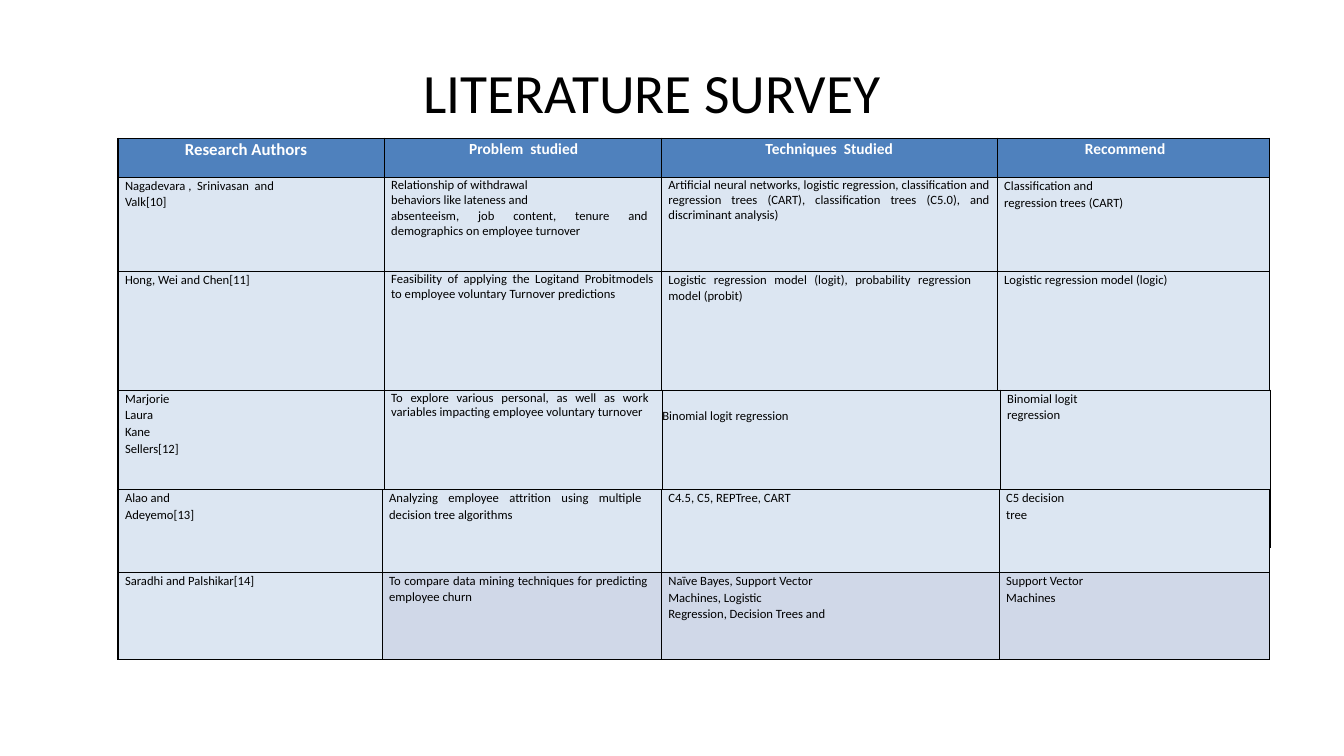
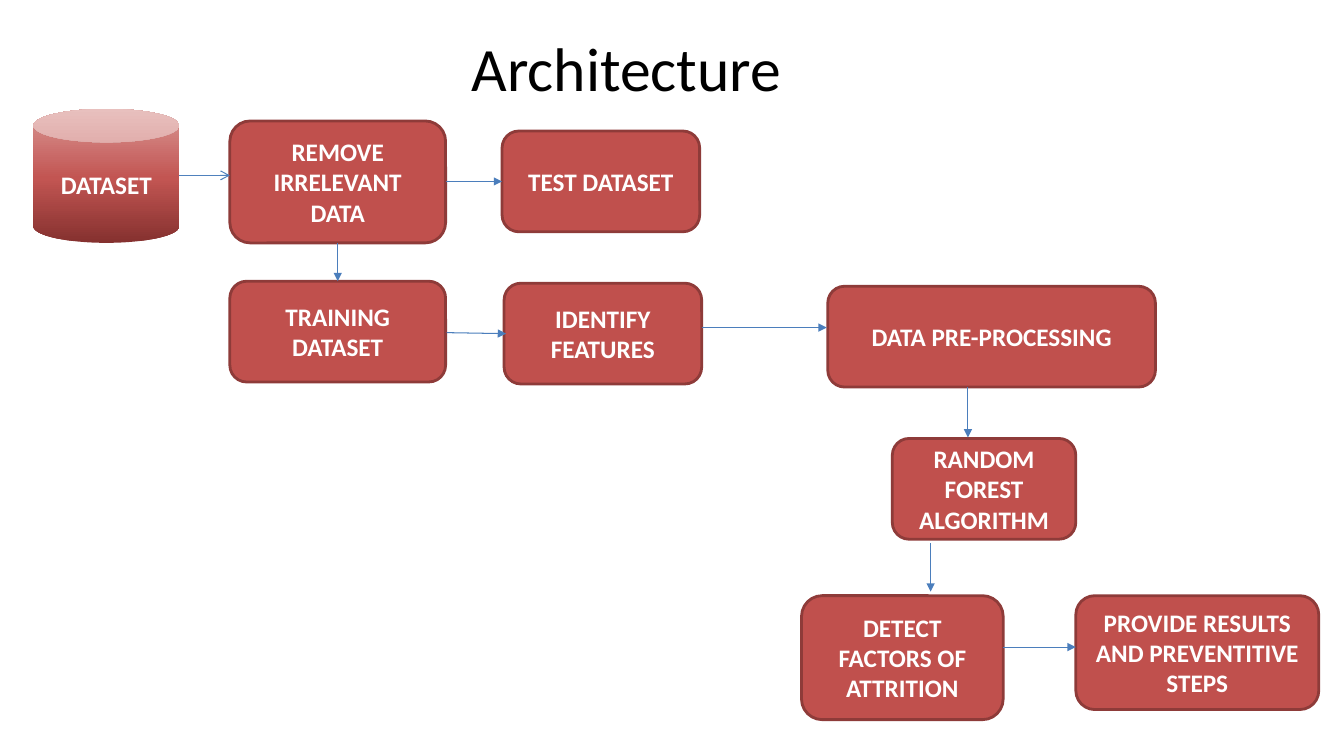
import copy

import pptx
import pptx.dml.color
import pptx.enum.shapes
import pptx.enum.text
import pptx.oxml
import pptx.oxml.ns
import pptx.util
from pptx.util import Inches

# Shared look
FONT = "Calibri"
BLACK, WHITE = "000000", "FFFFFF"
HEADER_FILL, ROW_FILL, LAST_ROW_FILL = "4F81BD", "DCE6F2", "D0D8E8"
BOX_FILL, BOX_LINE = "C0504D", "8E3B39"
CAN_STOPS = [(0, "85312F"), (0.48, "C25552"), (1, "D99694")]
ARROW = "4B7EBC"
TITLE_ONLY = 5

ALIGN = pptx.enum.text.PP_ALIGN
MIDDLE = pptx.enum.text.MSO_ANCHOR.MIDDLE
SHAPE = pptx.enum.shapes.MSO_SHAPE

# Survey tables: a cell is (lines, right margin, options)
HEADINGS = [
    (["Research Authors"], 0.17, {"size": 12}),
    (["Problem  studied"], 0.05, {}),
    (["Techniques  Studied"], 0.07, {}),
    (["Recommend"], 0.23, {}),
]
WITHDRAWAL_STUDY = [
    (["Nagadevara ,  Srinivasan  and Valk[10]"], 0.95, {}),
    (["Relationship of withdrawal", "behaviors like lateness and",
      "absenteeism, job content, tenure and demographics on employee turnover"],
     0.14, {"align": ALIGN.JUSTIFY, "spacing": 1}),
    (["Artificial neural networks, logistic regression, classification and "
      "regression trees (CART), classification trees (C5.0), and "
      "discriminant analysis)"],
     0.08, {"align": ALIGN.JUSTIFY, "spacing": 0.98}),
    (["Classification and", "regression trees (CART)"], 0, {}),
]
LOGIT_STUDY = [
    (["Hong, Wei and Chen[11]"], 0, {}),
    (["Feasibility of applying the Logitand Probitmodels to employee "
      "voluntary Turnover predictions"],
     0.08, {"align": ALIGN.JUSTIFY, "spacing": 0.98}),
    (["Logistic regression model (logit), probability regression model (probit)"],
     0.26, {"align": ALIGN.JUSTIFY}),
    (["Logistic regression model (logic)"], 0, {}),
]
VARIABLES_STUDY = [
    (["Marjorie", "Laura", "Kane", "Sellers[12]"], 0, {}),
    (["To explore various personal, as well as work variables impacting "
      "employee voluntary turnover"],
     0.14, {"align": ALIGN.JUSTIFY, "spacing": 0.97}),
    (["Binomial logit regression"], 0, {"left": 0, "top": 0.17}),
    (["Binomial logit", "regression"], 0, {}),
]
ATTRITION_STUDY = [
    (["Alao and", "Adeyemo[13]"], 0, {}),
    (["Analyzing employee attrition using multiple decision tree algorithms"],
     0.2, {"align": ALIGN.JUSTIFY}),
    (["C4.5, C5, REPTree, CART"], 0, {}),
    (["C5 decision", "tree"], 0, {}),
]
CHURN_STUDY = [
    (["Saradhi and Palshikar[14]"], 0, {}),
    (["To compare data mining techniques for predicting employee churn"],
     0.14, {"align": ALIGN.JUSTIFY, "fill": LAST_ROW_FILL}),
    (["Naïve Bayes, Support Vector", "Machines, Logistic",
      "Regression, Decision Trees and"], 0, {"fill": LAST_ROW_FILL}),
    (["Support Vector", "Machines"], 0, {"fill": LAST_ROW_FILL}),
]

# Top, column widths, row heights, rows
SURVEY_PARTS = [
    (1.37, (2.64, 2.75, 3.33, 2.7), (0.39, 0.93, 1.2),
     (HEADINGS, WITHDRAWAL_STUDY, LOGIT_STUDY)),
    (3.87, (2.64, 2.76, 3.35, 2.68), (1.56,), (VARIABLES_STUDY,)),
    (4.86, (2.62, 2.77, 3.35, 2.68), (0.82, 0.86),
     (ATTRITION_STUDY, CHURN_STUDY)),
]

# Architecture steps: label, left, top, width, height
STEPS = [
    ("REMOVE IRRELEVANT DATA", 2.28, 1.2, 2.14, 1.21),
    ("TEST DATASET", 4.98, 1.3, 1.96, 1),
    ("TRAINING DATASET", 2.28, 2.79, 2.14, 1),
    ("IDENTIFY FEATURES", 5, 2.81, 1.96, 1),
    ("DATA PRE-PROCESSING", 8.21, 2.84, 3.25, 1),
    ("PROVIDE RESULTS AND PREVENTITIVE STEPS", 10.67, 5.91, 2.41, 1.13),
    ("DETECT FACTORS OF ATTRITION", 7.95, 5.91, 2, 1.23),
    ("RANDOM FOREST ALGORITHM", 8.85, 4.35, 1.82, 1),
]
# Start x, y, end x, y
FLOWS = [
    (4.42, 1.8, 4.98, 1.8),
    (3.35, 2.41, 3.35, 2.79),
    (4.43, 3.3, 5.02, 3.31),
    (9.6, 3.84, 9.6, 4.34),
    (9.95, 6.42, 10.67, 6.42),
    (9.23, 5.39, 9.23, 5.87),
    (6.96, 3.25, 8.2, 3.25),
]


def rgb(color):
    return pptx.dml.color.RGBColor.from_string(color)


def style(paragraph, size, color, bold=False, align=ALIGN.LEFT):
    paragraph.alignment = align
    font = paragraph.font
    font.name, font.size, font.bold = FONT, pptx.util.Pt(size), bold
    font.color.rgb = rgb(color)


def add_titled_slide(deck, text, left, top, width, height, size):
    slide = deck.slides.add_slide(deck.slide_layouts[TITLE_ONLY])
    title = slide.shapes.title
    title.left, title.top = Inches(left), Inches(top)
    title.width, title.height = Inches(width), Inches(height)
    frame = title.text_frame
    frame.text = text
    frame.auto_size = pptx.enum.text.MSO_AUTO_SIZE.NONE
    frame.vertical_anchor = MIDDLE
    style(frame.paragraphs[0], size, BLACK, align=ALIGN.CENTER)
    return slide


# Tables
def add_borders(cell):
    properties = cell._tc.get_or_add_tcPr()
    for side in ("lnL", "lnR", "lnT", "lnB"):
        properties.append(pptx.oxml.parse_xml(
            f'<a:{side} {pptx.oxml.ns.nsdecls("a")} w="12700"><a:solidFill>'
            f'<a:srgbClr val="{BLACK}"/></a:solidFill></a:{side}>'))


def fill_cell(cell, lines, right, size=9, color=BLACK, bold=False,
              align=ALIGN.LEFT, spacing=1.07, fill=ROW_FILL, left=0.07, top=0):
    cell.margin_left, cell.margin_right = Inches(left), Inches(right)
    cell.margin_top, cell.margin_bottom = Inches(top), 0
    cell.text = "\n".join(lines)
    for paragraph in cell.text_frame.paragraphs:
        style(paragraph, size, color, bold, align)
        paragraph.line_spacing = spacing
        paragraph.space_after = pptx.util.Pt(0.2)
    add_borders(cell)
    cell.fill.solid()
    cell.fill.fore_color.rgb = rgb(fill)


def add_survey_table(slide, top, widths, heights, rows):
    table = slide.shapes.add_table(
        len(rows), len(widths), Inches(1.17), Inches(top),
        Inches(sum(widths)), Inches(sum(heights))).table
    table.first_row = rows[0] is HEADINGS
    table.horz_banding = False
    for column, width in zip(table.columns, widths):
        column.width = Inches(width)
    for row, height, contents in zip(table.rows, heights, rows):
        row.height = Inches(height)
        defaults = {}
        if contents is HEADINGS:
            defaults = {"size": 11, "color": WHITE, "bold": True,
                        "align": ALIGN.CENTER, "fill": HEADER_FILL}
        for cell, (lines, right, options) in zip(row.cells, contents):
            fill_cell(cell, lines, right, **{**defaults, **options})


# Flow chart
def add_step(slide, label, left, top, width, height,
             kind=SHAPE.ROUNDED_RECTANGLE):
    step = slide.shapes.add_shape(kind, Inches(left), Inches(top),
                                  Inches(width), Inches(height))
    step.shadow.inherit = False
    step.fill.solid()
    step.fill.fore_color.rgb = rgb(BOX_FILL)
    step.line.color.rgb = rgb(BOX_LINE)
    step.line.width = pptx.util.Pt(2)
    frame = step.text_frame
    frame.word_wrap = True
    frame.vertical_anchor = MIDDLE
    frame.text = label
    style(frame.paragraphs[0], 18, WHITE, True, ALIGN.CENTER)
    return step


def add_dataset(slide):
    dataset = add_step(slide, "DATASET", 0.33, 1.08, 1.45, 1.33, SHAPE.CAN)
    dataset.line.fill.background()
    dataset.fill.gradient()
    dataset.fill.gradient_angle = 90
    stop_list = next(dataset._element.spPr.iter(pptx.oxml.ns.qn("a:gsLst")))
    stop_list.append(copy.deepcopy(stop_list[0]))
    for stop, (position, color) in zip(dataset.fill.gradient_stops, CAN_STOPS):
        stop.position = position
        stop.color.rgb = rgb(color)


def add_arrow(slide, x1, y1, x2, y2, head="triangle", color=ARROW):
    arrow = slide.shapes.add_connector(
        pptx.enum.shapes.MSO_CONNECTOR.STRAIGHT,
        Inches(x1), Inches(y1), Inches(x2), Inches(y2))
    arrow.line.color.rgb = rgb(color)
    arrow.line.width = pptx.util.Pt(0.75)
    namespace = pptx.oxml.ns.nsdecls("a")
    arrow.line._get_or_add_ln().append(
        pptx.oxml.parse_xml(f'<a:tailEnd {namespace} type="{head}"/>'))
    arrow._element.spPr.append(
        pptx.oxml.parse_xml(f"<a:effectLst {namespace}/>"))


# Slides
def build_survey(deck):
    slide = add_titled_slide(deck, "LITERATURE SURVEY",
                             3.17, 0.6, 6.59, 0.61, 39.6)
    for part in SURVEY_PARTS:
        add_survey_table(slide, *part)


def build_architecture(deck):
    slide = add_titled_slide(deck, "Architecture", 3.17, 0.24, 6.09, 0.84, 44)
    add_dataset(slide)
    for step in STEPS:
        add_step(slide, *step)
    add_arrow(slide, 1.78, 1.74, 2.28, 1.74, "arrow", HEADER_FILL)
    for flow in FLOWS:
        add_arrow(slide, *flow)


def main():
    deck = pptx.Presentation()
    deck.slide_width, deck.slide_height = Inches(13.33), Inches(7.5)
    build_survey(deck)
    build_architecture(deck)
    deck.save("out.pptx")


if __name__ == "__main__":
    main()
